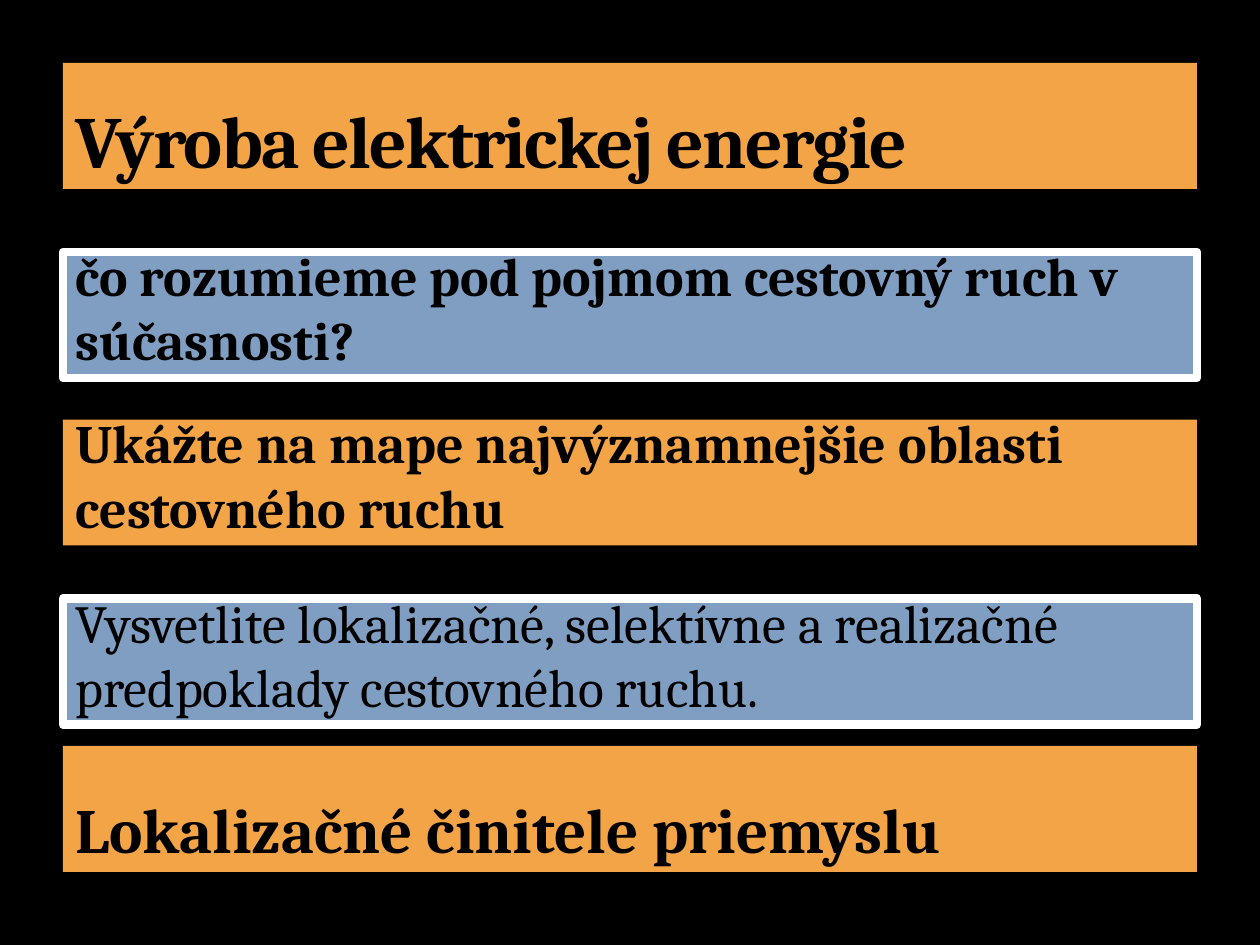
from lxml import etree
from pptx import Presentation
from pptx import util as u
from pptx.dml.color import RGBColor
from pptx.enum import shapes, text
from pptx.oxml.ns import qn

THEME = {
    "background": "000000", "ink": "000000", "orange": "F3A447", "blue": "809EC2",
    "border": "FFFFFF", "border_width": 5, "shadow": "000000", "outline": "3C4422",
    "font": "Cambria", "title": 42, "question": 30.8, "task": 30.6, "closing": 36,
}
WIDTH, HEIGHT = 10, 7.5
BAND_LEFT, BAND_WIDTH, BAND_HEIGHT = 0.05 * WIDTH, 0.9 * WIDTH, HEIGHT / 7.5

# wording, top in inches, colour, type size, bold, framed
BANDS = [
    ("Výroba elektrickej energie", 0.5, "orange", "title", True, False),
    ("čo rozumieme pod pojmom cestovný ruch v súčasnosti?", 2, "blue", "question", True, True),
    ("Ukážte na mape najvýznamnejšie oblasti cestovného ruchu", 3.33, "orange", "question", True, False),
    ("Vysvetlite lokalizačné, selektívne a realizačné predpoklady cestovného ruchu.",
     4.75, "blue", "task", False, True),
    ("Lokalizačné činitele priemyslu", 5.92, "orange", "closing", True, False),
]


def color(name):
    return RGBColor.from_string(THEME[name])


def add_color(parent, name, opacity):
    """Append an sRGB colour with an opacity in percent."""
    tone = etree.SubElement(parent, qn("a:srgbClr"), val=THEME[name])
    etree.SubElement(tone, qn("a:alpha"), val=str(opacity * 1000))


def add_frame(band):
    """Give a band its border and soft shadow."""
    band.line.color.rgb = color("border")
    band.line.width = u.Pt(THEME["border_width"])
    effects = band._element.spPr.find(qn("a:effectLst"))
    shadow = etree.SubElement(effects, qn("a:outerShdw"), blurRad=str(u.Pt(7.5)),
                              dist="0", dir="0", algn="ctr", rotWithShape="0")
    add_color(shadow, "shadow", 50)


def style_title(run):
    """Tighten the letters and give them a faint outline."""
    properties = run._r.get_or_add_rPr()
    properties.set("spc", "-100")
    outline = etree.Element(qn("a:ln"), w=str(u.Pt(0.25)))
    add_color(etree.SubElement(outline, qn("a:solidFill")), "outline", 25)
    properties.insert(0, outline)


def add_band(slide, wording, top, fill, size, bold, framed):
    band = slide.shapes.add_shape(
        shapes.MSO_SHAPE.RECTANGLE,
        *(u.Inches(n) for n in (BAND_LEFT, top, BAND_WIDTH, BAND_HEIGHT)))
    band.shadow.inherit = False
    band.fill.solid()
    band.fill.fore_color.rgb = color(fill)
    if framed:
        add_frame(band)
    else:
        band.line.fill.background()

    frame = band.text_frame
    frame.word_wrap = True
    frame.vertical_anchor = text.MSO_ANCHOR.BOTTOM
    paragraph = frame.paragraphs[0]
    paragraph.alignment = text.PP_ALIGN.LEFT
    run = paragraph.add_run()
    run.text = wording
    formats = {"name": THEME["font"], "size": u.Pt(THEME[size]), "bold": bold}
    for key, value in formats.items():
        setattr(run.font, key, value)
    run.font.color.rgb = color("ink")
    if size == "title":
        style_title(run)


def main():
    deck = Presentation()
    deck.slide_width, deck.slide_height = u.Inches(WIDTH), u.Inches(HEIGHT)
    slide = deck.slides.add_slide(deck.slide_layouts[6])
    slide.background.fill.solid()
    slide.background.fill.fore_color.rgb = color("background")
    for band in BANDS:
        add_band(slide, *band)
    deck.save("out.pptx")


if __name__ == "__main__":
    main()
